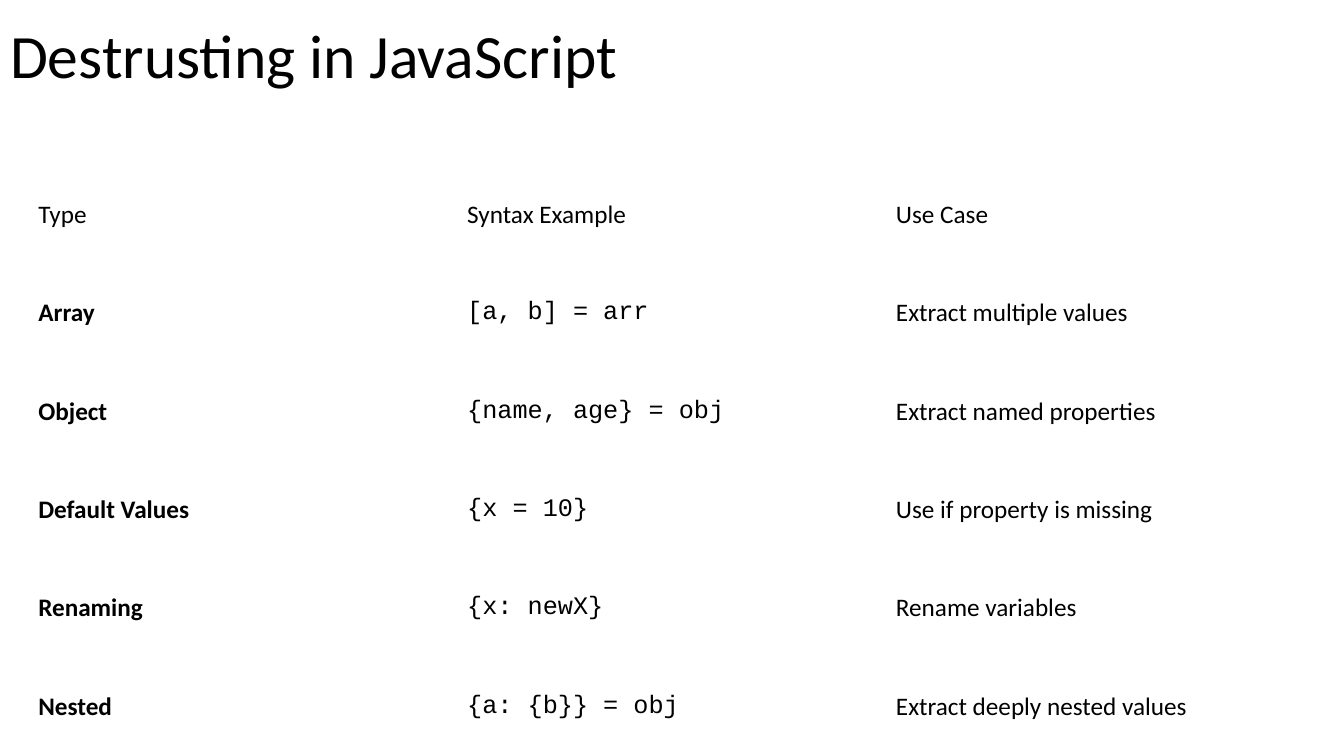
"""Build a slide with a table of JavaScript destructuring forms."""
from pptx import Presentation
from pptx import util as u
from pptx.dml import color
from pptx.enum import text

COLORS = {"text": "000000", "background": "FFFFFF"}
BODY_FONT = "Calibri"
CODE_FONT = "Courier New"
HEADER = ("Type", "Syntax Example", "Use Case")
FORMS = (
    ("Array", "[a, b] = arr", "Extract multiple values"),
    ("Object", "{name, age} = obj", "Extract named properties"),
    ("Default Values", "{x = 10}", "Use if property is missing"),
    ("Renaming", "{x: newX}", "Rename variables"),
    ("Nested", "{a: {b}} = obj", "Extract deeply nested values"),
)


def format_text(frame, size, font=BODY_FONT, bold=False):
    frame.vertical_anchor = text.MSO_ANCHOR.MIDDLE
    for para in frame.paragraphs:
        para.alignment = text.PP_ALIGN.LEFT
        for span in para.runs:
            span.font.name = font
            span.font.size = u.Pt(size)
            span.font.bold = bold
            span.font.color.rgb = color.RGBColor.from_string(COLORS["text"])


def set_title(page, wording):
    title = page.shapes.title
    title.left, title.top = u.Inches(0), u.Inches(0)
    title.width, title.height = u.Inches(13.33), u.Inches(1.17)
    title.text_frame.text = wording
    title.text_frame.paragraphs[0].line_spacing = 0.9
    format_text(title.text_frame, 44)


def fill_cell(cell, wording, font, bold):
    cell.fill.background()
    cell.vertical_anchor = text.MSO_ANCHOR.MIDDLE
    cell.text_frame.text = wording
    format_text(cell.text_frame, 18, font, bold)


def add_forms_table(page):
    rows = (HEADER,) + FORMS
    table = page.shapes.add_table(
        len(rows), len(HEADER),
        u.Inches(0.28), u.Inches(1.64), u.Inches(12.76), u.Inches(5.86),
    ).table
    table.first_row = False
    table.horz_banding = False
    for row, wordings in enumerate(rows):
        for column, wording in enumerate(wordings):
            font = CODE_FONT if row > 0 and column == 1 else BODY_FONT
            fill_cell(table.cell(row, column), wording, font, row > 0 and column == 0)


def main():
    deck = Presentation()
    deck.slide_width, deck.slide_height = u.Inches(13.33), u.Inches(7.5)
    page = deck.slides.add_slide(deck.slide_layouts.get_by_name("Title Only"))
    page.background.fill.solid()
    page.background.fill.fore_color.rgb = color.RGBColor.from_string(COLORS["background"])
    set_title(page, "Destrusting in JavaScript")
    add_forms_table(page)
    deck.save("out.pptx")


if __name__ == "__main__":
    main()
